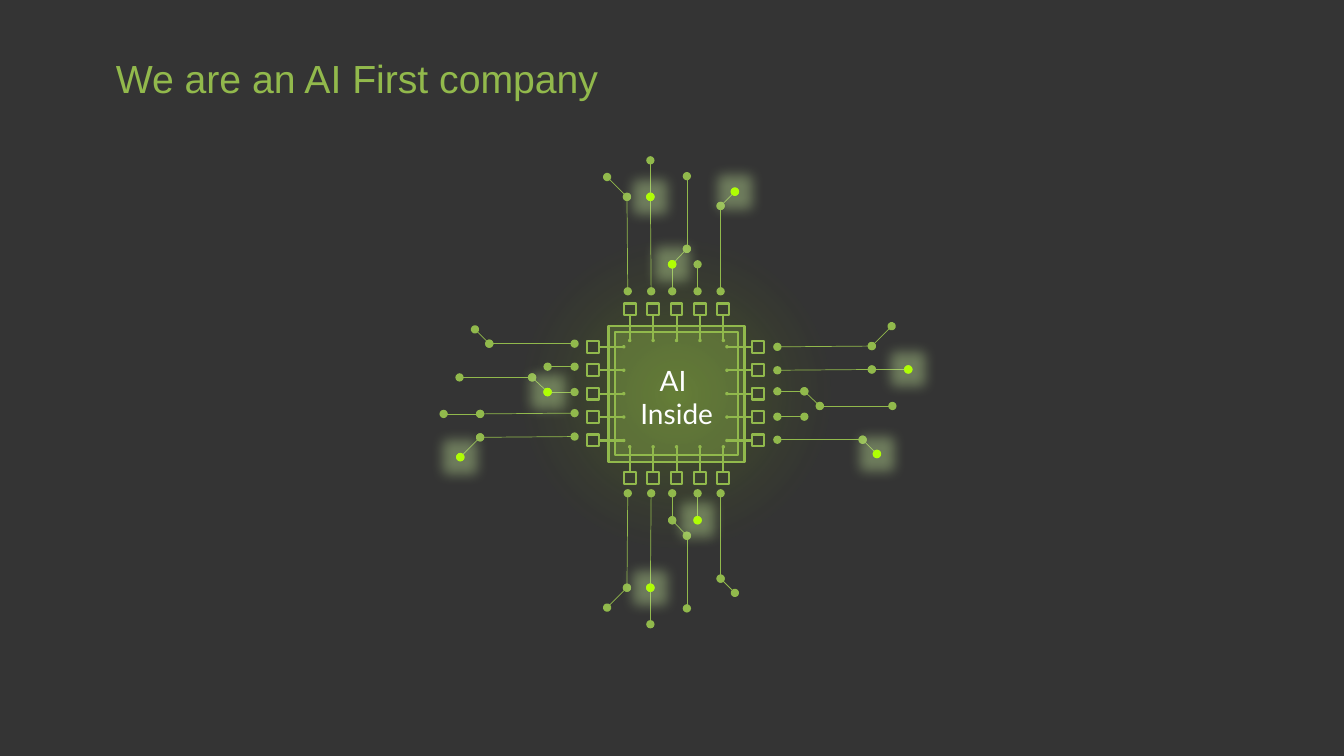
from collections import namedtuple
from itertools import pairwise

from lxml.etree import SubElement
from pptx import Presentation
from pptx.dml.color import RGBColor
from pptx.enum.shapes import MSO_CONNECTOR as CONN, MSO_SHAPE as SHAPE
from pptx.enum.text import MSO_ANCHOR as ANCHOR, PP_ALIGN as ALIGN
from pptx.oxml import parse_xml
from pptx.oxml.ns import nsdecls, qn
from pptx.util import Cm, Pt

DARK = RGBColor(0x34, 0x34, 0x34)
GREEN = RGBColor(0x91, 0xB9, 0x4C)
TITLE = RGBColor(0x92, 0xB9, 0x4C)
LIME = RGBColor(0xAF, 0xFE, 0x04)
LEAF = RGBColor(0x66, 0x99, 0x00)
GREY = RGBColor(0x41, 0x41, 0x41)
GLOW = RGBColor(0xC5, 0xE8, 0x9A)
WHITE = RGBColor(0xFE, 0xFF, 0xFF)

Side = namedtuple("Side", "pin trace out across lit")

SIDES = [
    Side((15.87, 7.8), (15.82, 7.34), (0, -1), (1, 0), [(4, 2), (1, 1), (2, 1)]),
    Side((15.87, 12.04), (15.82, 12.43), (0, 1), (1, 0), [(1, 1), (3, 1)]),
    Side((19.1, 8.74), (19.59, 8.74), (1, 0), (0, 1), [(1, 2), (4, 2)]),
    Side((14.94, 11.1), (14.48, 11), (-1, 0), (0, -1), [(0, 2), (2, 1)]),
]
TRACES = [
    [(0, 0), (2.38, -0.02), (2.88, -0.52)],
    [(0, 0.59), (2.38, 0.57), (3.3, 0.57)],
    [(0, 1.12), (0.68, 1.12), (1.07, 1.49), (2.9, 1.49)],
    [(0, 1.76), (0.68, 1.76)],
    [(0, 2.34), (2.15, 2.34), (2.51, 2.7)],
]
PIN_PITCH = 0.59


def place(origin, side, distance, offset):
    return tuple(o + distance * u + offset * v
                 for o, u, v in zip(origin, side.out, side.across))


class Deck:
    font = "Lato"

    def __init__(self):
        self.prs = Presentation()
        self.prs.slide_width, self.prs.slide_height = Cm(33.87), Cm(19.05)
        self.s = self.prs.slides.add_slide(self.prs.slide_layouts[6])
        self.s.background.fill.solid()
        self.s.background.fill.fore_color.rgb = DARK

    def shape(self, kind, center, size, fill=None, line=None, width=1.5, alpha=None):
        x, y = center
        sp = self.s.shapes.add_shape(kind, Cm(x - size / 2), Cm(y - size / 2),
                                     Cm(size), Cm(size))
        sp.shadow.inherit = False
        if fill is None:
            sp.fill.background()
        else:
            sp.fill.solid()
            sp.fill.fore_color.rgb = fill
        if alpha:
            color = sp._element.spPr.find(qn("a:solidFill"))[0]
            SubElement(color, qn("a:alpha"), val=str(alpha * 1000))
        if line is None:
            sp.line.fill.background()
        else:
            sp.line.color.rgb = line
            sp.line.width = Pt(width)
        return sp

    def halo(self, center, size):
        spPr = self.shape(SHAPE.RECTANGLE, center, size)._element.spPr
        stops = "".join(
            f'<a:gs pos="{pos * 1000}"><a:srgbClr val="{color}">'
            f'<a:alpha val="{alpha * 1000}"/></a:srgbClr></a:gs>'
            for pos, color, alpha in [(0, LIME, 19), (50, LEAF, 0), (100, GREY, 0)])
        gradient = parse_xml(
            f'<a:gradFill {nsdecls("a")}><a:gsLst>{stops}</a:gsLst><a:path path="circle">'
            '<a:fillToRect l="50000" t="50000" r="50000" b="50000"/></a:path></a:gradFill>')
        spPr.replace(spPr.find(qn("a:noFill")), gradient)

    def line(self, start, end, width, dots=False):
        c = self.s.shapes.add_connector(CONN.STRAIGHT, *map(Cm, start + end))
        c.line.color.rgb = GREEN
        c.line.width = Pt(width)
        if dots:
            for tag in ("a:headEnd", "a:tailEnd"):
                SubElement(c.line._get_or_add_ln(), qn(tag), type="oval")
        SubElement(c._element.spPr, qn("a:effectLst"))

    def light(self, center):
        sp = self.shape(SHAPE.OVAL, center, 0.18, LIME, LIME, 1)
        effects = sp._element.spPr.find(qn("a:effectLst"))
        glow = SubElement(effects, qn("a:glow"), rad=str(Pt(18)))
        color = SubElement(glow, qn("a:srgbClr"), val=str(GLOW))
        SubElement(color, qn("a:alpha"), val="40000")

    def text(self, box, lines, size, color, font=None, align=ALIGN.LEFT,
             anchor=ANCHOR.TOP, inset=(0.25, 0.13), spacing=1.0):
        tf = self.s.shapes.add_textbox(*map(Cm, box)).text_frame
        tf.word_wrap = True
        tf.vertical_anchor = anchor
        tf.margin_left = tf.margin_right = Cm(inset[0])
        tf.margin_top = tf.margin_bottom = Cm(inset[1])
        for i, content in enumerate(lines):
            p = tf.add_paragraph() if i else tf.paragraphs[0]
            p.alignment = align
            p.line_spacing = spacing
            r = p.add_run()
            r.text = content
            r.font.name = font or self.font
            r.font.size = Pt(size)
            r.font.color.rgb = color

    def pin(self, side, offset):
        box, edge, end, tip = (place(side.pin, side, -d, offset)
                               for d in (0, 0.15, 0.76, 0.78))
        self.shape(SHAPE.RECTANGLE, box, 0.3, line=GREEN)
        self.line(edge, end, 1.5)
        self.shape(SHAPE.OVAL, tip, 0.05, GREEN, GREEN, 1)

    def trace(self, side, nodes):
        points = [place(side.trace, side, *node) for node in nodes]
        for start, end in pairwise(points):
            self.line(start, end, 0.5, dots=True)


def main():
    deck = Deck()
    deck.halo((17.04, 9.92), 11.1)
    for size, alpha in ((3.43, 22), (3.1, 20)):
        deck.shape(SHAPE.RECTANGLE, (17.05, 9.92), size, GREEN, GREEN, alpha=alpha)
    deck.text((15.44, 9.02, 3.23, 1.96), ["AI ", "Inside"], 20, WHITE, align=ALIGN.CENTER)
    for side in SIDES:
        for i in range(5):
            deck.pin(side, i * PIN_PITCH)
    for side in SIDES:
        for nodes in TRACES:
            deck.trace(side, nodes)
    for side in SIDES:
        for lane, node in side.lit:
            deck.light(place(side.trace, side, *TRACES[lane][node]))
    deck.text((2.79, 0.86, 31.06, 2.41), ["We are an AI First company"], 28, TITLE,
              font="Arial", anchor=ANCHOR.MIDDLE, inset=(0.13, 0.08), spacing=0.8)
    deck.prs.save("out.pptx")


if __name__ == "__main__":
    main()
